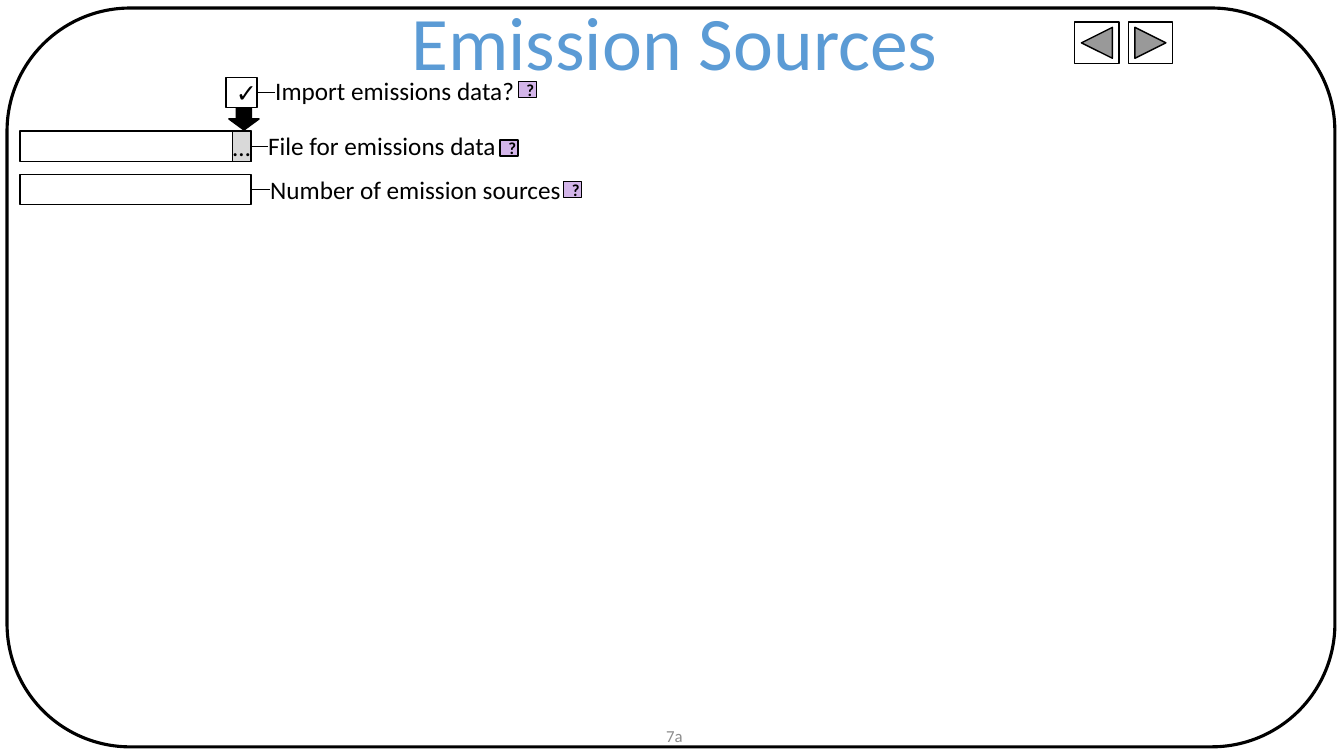
from dataclasses import dataclass
from lxml import etree
from pptx import Presentation
from pptx.dml.color import RGBColor
from pptx.enum.shapes import MSO_CONNECTOR as CONN, MSO_SHAPE as SHAPE
from pptx.enum.text import MSO_ANCHOR as ANCHOR, MSO_AUTO_SIZE as FIT, PP_ALIGN as ALIGN
from pptx.oxml.ns import qn
from pptx.util import Inches, Pt

COLS, ROWS = 1333, 750
CELL = Inches(0.01)


@dataclass(frozen=True)
class Theme:
    font: str = "Calibri"
    ink: str = "000000"
    paper: str = "FFFFFF"
    title: str = "5B9BD5"
    muted: str = "8C8C8C"
    button: str = "D9D9D9"
    help: str = "D3B5E9"
    title_size: int = 54
    body_size: int = 18
    small_size: int = 12


@dataclass(frozen=True)
class Box:
    x: float
    y: float
    w: float
    h: float

    def inner(self, dx, dy, w, h):
        return Box(self.x + dx, self.y + dy, w, h)

    def emu(self):
        return [int(v * CELL) for v in (self.x, self.y, self.w, self.h)]


T = Theme()


def write(sp, text, size, color=T.ink, bold=None, align=ALIGN.LEFT, spacing=None):
    p = sp.text_frame.paragraphs[0]
    p.alignment = align
    if spacing:
        p.line_spacing = Pt(spacing)
    r = p.add_run()
    r.text = text
    r.font.name, r.font.size, r.font.bold = T.font, Pt(size), bold
    r.font.color.rgb = RGBColor.from_string(color)


def no_insets(tf):
    tf.margin_left = tf.margin_right = tf.margin_top = tf.margin_bottom = 0


def add_text(sl, box, wrap=False, grow=True):
    sp = sl.shapes.add_textbox(*box.emu())
    tf = sp.text_frame
    tf.word_wrap = wrap
    tf.auto_size = FIT.SHAPE_TO_FIT_TEXT if grow else FIT.NONE
    return sp


def add_block(sl, kind, box, fill=None, width=1):
    sp = sl.shapes.add_shape(kind, *box.emu())
    sp.shadow.inherit = False
    if fill:
        sp.fill.solid()
        sp.fill.fore_color.rgb = RGBColor.from_string(fill)
    else:
        sp.fill.background()
    sp.line.color.rgb = RGBColor.from_string(T.ink)
    sp.line.width = Pt(width)
    return sp


def add_leader(sl, label, field):
    y = field.top + field.height // 2
    line = sl.shapes.add_connector(CONN.STRAIGHT, label.left, y, field.left + field.width, y)
    if abs(label.top + label.height // 2 - y) <= CELL:
        line.begin_connect(label, 1)
    line.end_connect(field, 3)
    line.line.color.rgb = RGBColor.from_string(T.ink)
    line.line.width = Pt(0.5)
    etree.SubElement(line._element.spPr, qn("a:effectLst"))


def add_caption(sl, field, text, label_box, help_xy, spacing=None):
    label = add_text(sl, label_box, wrap=bool(spacing))
    no_insets(label.text_frame)
    write(label, text, T.body_size, spacing=spacing)
    add_leader(sl, label, field)
    mark = add_block(sl, SHAPE.RECTANGLE, Box(*help_xy, 18, 16), T.help)
    write(mark, "?", T.small_size, bold=True, align=ALIGN.CENTER)


def import_row(sl, box):
    check = add_block(sl, SHAPE.RECTANGLE, box.inner(204, 0, 31, 30), T.paper)
    write(check, "✓", T.body_size, align=ALIGN.CENTER)
    add_caption(sl, check, "Import emissions data?", box.inner(253, -2, 241, 30),
                (box.x + 494, box.y + 4))
    add_block(sl, SHAPE.DOWN_ARROW, box.inner(207, 30, 30, 22), T.ink)


def file_row(sl, box):
    add_block(sl, SHAPE.RECTANGLE, box, T.paper)
    browse = add_block(sl, SHAPE.RECTANGLE, box.inner(box.w - 18, 0, 18, box.h), T.button, 0.75)
    no_insets(browse.text_frame)
    browse.text_frame.auto_size = FIT.SHAPE_TO_FIT_TEXT
    write(browse, "…", T.body_size)
    add_caption(sl, browse, "File for emissions data", box.inner(246, 8, 290, 21),
                (box.x + 476, box.y + 9), spacing=15)


def count_row(sl, box):
    field = add_block(sl, SHAPE.RECTANGLE, box)
    add_caption(sl, field, "Number of emission sources", box.inner(248, 0, 292, 30),
                (box.x + 539, box.y + 7))


def form(sl, box):
    for row, dy in ((import_row, 0), (file_row, 53), (count_row, 96)):
        row(sl, box.inner(0, dy, 229, 30))


def header(sl, box):
    title = add_text(sl, box.inner(395, -10, 548, 101))
    write(title, "Emission Sources", T.title_size, T.title, align=ALIGN.CENTER)


def navigation(sl, box):
    buttons = (SHAPE.ACTION_BUTTON_BACK_OR_PREVIOUS, SHAPE.ACTION_BUTTON_FORWARD_OR_NEXT)
    for i, kind in enumerate(buttons):
        add_block(sl, kind, box.inner(i * 53, 0, 44, 41), T.paper)


def footer(sl, box):
    number = add_text(sl, box, wrap=True, grow=False)
    number.text_frame.vertical_anchor = ANCHOR.MIDDLE
    write(number, "7a", T.small_size, T.muted, align=ALIGN.CENTER)


def main():
    prs = Presentation()
    prs.slide_width, prs.slide_height = COLS * CELL, ROWS * CELL
    sl = prs.slides.add_slide(prs.slide_layouts[6])
    page = Box(0, 0, COLS, ROWS)
    header(sl, page)
    footer(sl, page.inner(519, 710, 300, 40))
    form(sl, page.inner(20, 77, 557, 126))
    add_block(sl, SHAPE.ROUNDED_RECTANGLE, page.inner(7, 8, 1317, 733), width=2.25)
    navigation(sl, page.inner(1066, 22, 97, 41))
    prs.save("out.pptx")


if __name__ == "__main__":
    main()
